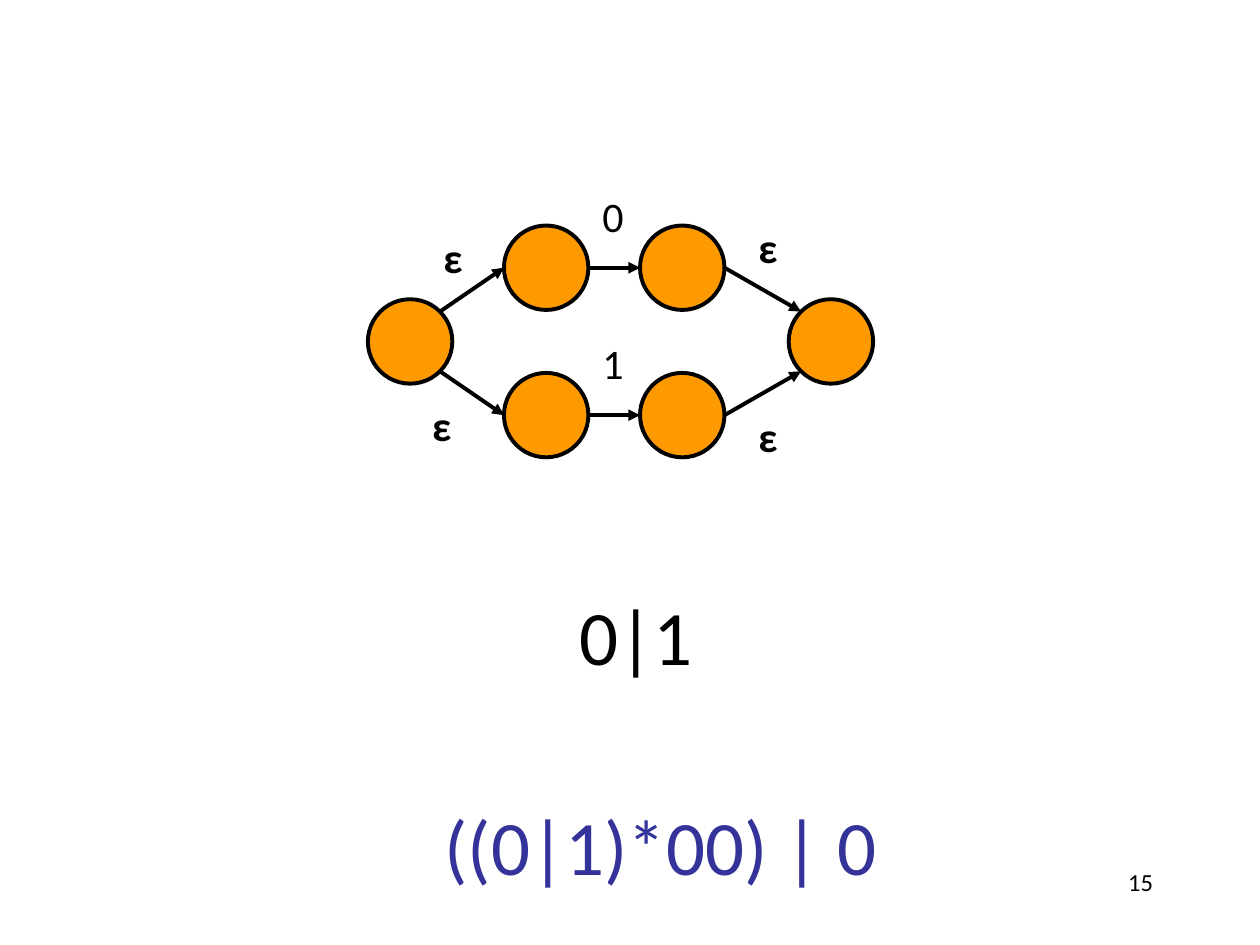
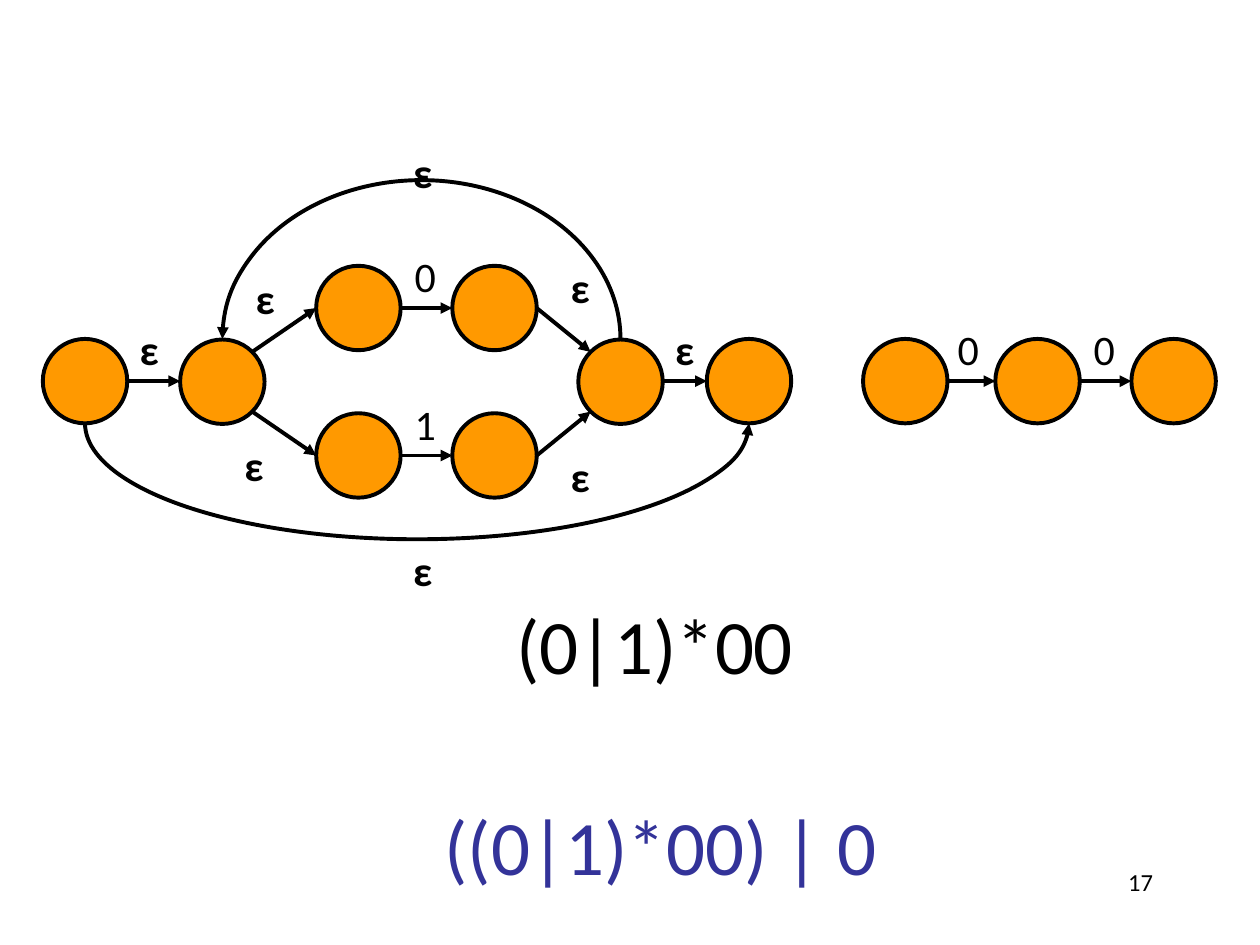
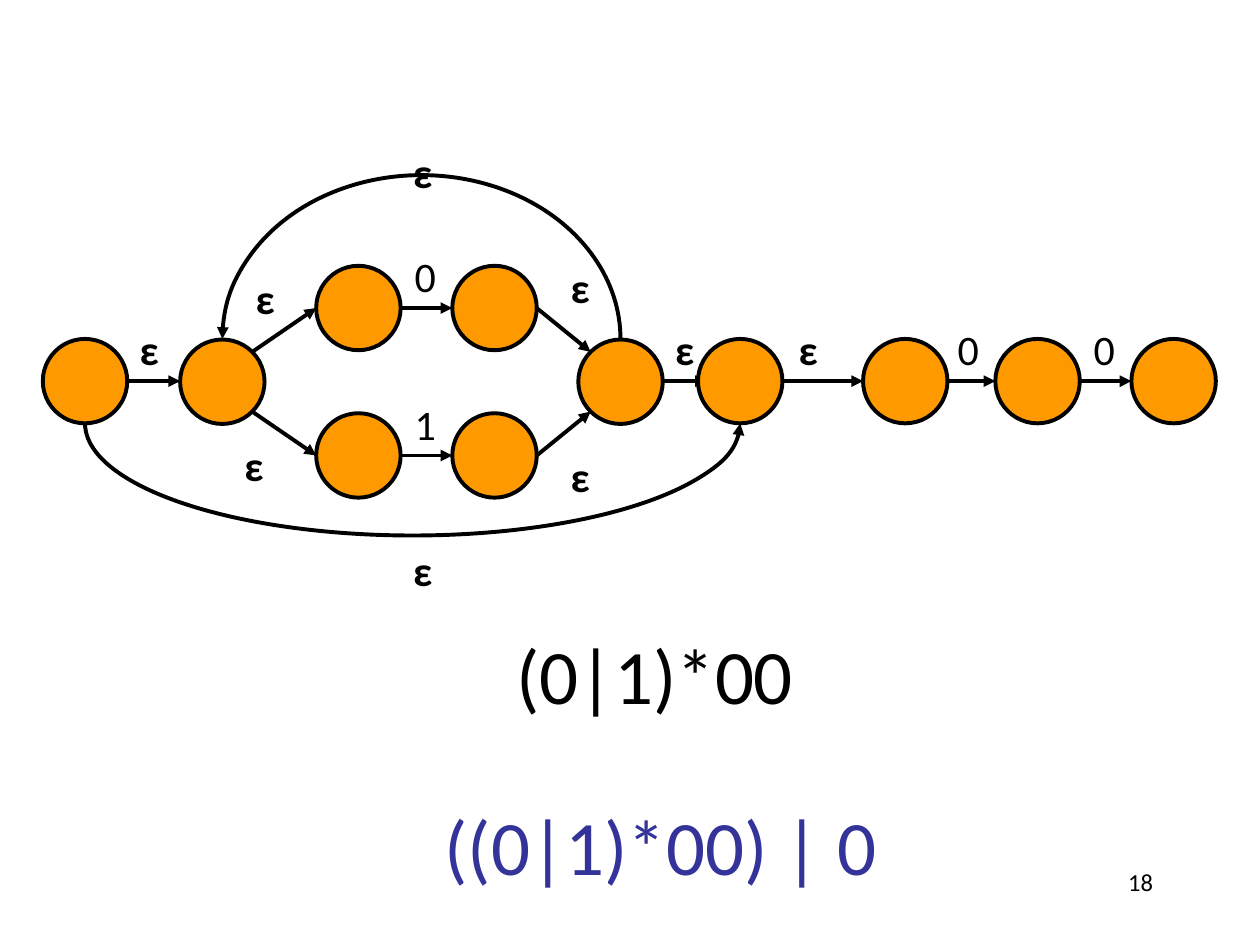
from dataclasses import dataclass
from math import sqrt

from pptx import Presentation
from pptx.dml.color import RGBColor
from pptx.enum.shapes import MSO_CONNECTOR, MSO_SHAPE
from pptx.enum.text import MSO_ANCHOR, MSO_AUTO_SIZE, PP_ALIGN
from pptx.oxml.ns import qn
from pptx.oxml.xmlchemy import OxmlElement
from pptx.util import Inches, Pt

STRAIGHT = MSO_CONNECTOR.STRAIGHT
CIRCLE = MSO_SHAPE.FLOWCHART_CONNECTOR
ARC = MSO_SHAPE.ARC
TOP = MSO_ANCHOR.TOP
FIXED_SIZE = MSO_AUTO_SIZE.NONE
LEFT, CENTER, RIGHT = PP_ALIGN.LEFT, PP_ALIGN.CENTER, PP_ALIGN.RIGHT

BLACK = RGBColor(0x00, 0x00, 0x00)
ORANGE = RGBColor(0xFF, 0x99, 0x00)
INDIGO = RGBColor(0x33, 0x33, 0x99)
FONT = "Calibri"
LINE_WIDTH = Pt(2.25)

TITLE_ONLY_LAYOUT = 5
DIAMETER = 0.67
RADIUS = DIAMETER / 2
DIAGONAL = RADIUS / sqrt(2)
STATE_STEP = 1.08
BRANCH_STEP = 1.17
ROW_TOP = 2.69
LABEL_TOP = 2.52
EPSILON = "ε"
GOAL = "((0|1)*00) | 0"
LOOP_EXPRESSION = "(0|1)*00"
UPPER_HALF = (108.0, 0)
LOWER_HALF = (0, 108.0)

FRAME_FORMAT = {
    "word_wrap": False,
    "auto_size": FIXED_SIZE,
    "vertical_anchor": TOP,
    "margin_left": Inches(0.1),
    "margin_right": Inches(0.1),
    "margin_top": Inches(0.05),
    "margin_bottom": Inches(0.05),
}
EXPRESSION_FORMAT = {"name": FONT, "size": Pt(44), "bold": False}
SYMBOL_FORMAT = {"name": FONT, "size": Pt(24), "bold": False}
EPSILON_FORMAT = {**SYMBOL_FORMAT, "bold": True}
NUMBER_FORMAT = {"name": FONT, "size": Pt(14), "bold": False}


@dataclass(frozen=True)
class Point:
    x: float
    y: float


@dataclass(frozen=True)
class State:
    left: float
    top: float

    def at(self, across: float, down: float) -> Point:
        return Point(self.left + RADIUS + across, self.top + RADIUS + down)


@dataclass(frozen=True)
class Arrow:
    start: Point
    end: Point


@dataclass(frozen=True)
class Label:
    text: str
    left: float
    top: float


@dataclass(frozen=True)
class Loop:
    left: Point
    right: Point
    depth: float
    half: tuple


@dataclass(frozen=True)
class Automaton:
    states: list
    arrows: list
    labels: list
    loops: list

    def joined(self, other: "Automaton") -> "Automaton":
        return Automaton(
            self.states + other.states,
            self.arrows + other.arrows,
            self.labels + other.labels,
            self.loops + other.loops,
        )


@dataclass(frozen=True)
class Page:
    number: int
    expression: str
    box: tuple
    automaton: Automaton


def step(source: State, target: State) -> Arrow:
    return Arrow(source.at(RADIUS, 0), target.at(-RADIUS, 0))


def choice(left: float, top: float, exit_offset: float, symbol_rise: float) -> Automaton:
    middle = top + BRANCH_STEP / 2
    entry = State(left - STATE_STEP, middle)
    leave = State(left + exit_offset, middle)
    automaton = Automaton([entry, leave], [], [], [])
    for row, symbol in enumerate("01"):
        branch_top = top + row * BRANCH_STEP
        first, second = State(left, branch_top), State(left + STATE_STEP, branch_top)
        side = DIAGONAL if row else -DIAGONAL
        arrows = [
            Arrow(entry.at(DIAGONAL, side), first.at(-RADIUS, 0)),
            step(first, second),
            Arrow(second.at(RADIUS, 0), leave.at(-DIAGONAL, side)),
        ]
        labels = [Label(symbol, left + 0.68, branch_top - symbol_rise)]
        automaton = automaton.joined(Automaton([first, second], arrows, labels, []))
    corners = [(-0.58, 0), (-0.67, 1.33), (1.92, -0.08), (1.92, 1.42)]
    labels = [Label(EPSILON, left + across, top + down) for across, down in corners]
    return automaton.joined(Automaton([], [], labels, []))


def repetition(final_left: float, upper_depth: float, lower_depth: float) -> Automaton:
    start, entry, leave, final = (
        State(left, ROW_TOP) for left in (0.34, 1.43, 4.59, final_left)
    )
    arrows = [step(start, entry), Arrow(leave.at(RADIUS, 0), Point(5.61, ROW_TOP + RADIUS))]
    labels = [
        Label(EPSILON, left, top)
        for left, top in [(1.01, LABEL_TOP), (5.26, LABEL_TOP), (3.18, 1.11), (3.18, 4.27)]
    ]
    loops = [
        Loop(entry.at(0, -RADIUS), leave.at(0, -RADIUS), upper_depth, UPPER_HALF),
        Loop(start.at(0, RADIUS), final.at(0, RADIUS), lower_depth, LOWER_HALF),
    ]
    inner = choice(2.51, 2.11, 2.08, 0.17)
    return inner.joined(Automaton([start, final], arrows, labels, loops))


def two_zeros() -> Automaton:
    states = [State(left, ROW_TOP) for left in (6.85, 7.9, 8.98)]
    arrows = [step(source, target) for source, target in zip(states, states[1:])]
    labels = [Label("0", left, LABEL_TOP) for left in (7.5, 8.58)]
    return Automaton(states, arrows, labels, [])


def concatenation(final_left: float) -> Automaton:
    arrow = step(State(final_left, ROW_TOP), State(6.85, ROW_TOP))
    return Automaton([], [arrow], [Label(EPSILON, 6.24, LABEL_TOP)], [])


def apply_format(target, values: dict) -> None:
    for name, value in values.items():
        setattr(target, name, value)


def write_text(shape, text: str, font_format: dict, color: RGBColor, alignment) -> None:
    frame = shape.text_frame
    apply_format(frame, FRAME_FORMAT)
    paragraph = frame.paragraphs[0]
    paragraph.alignment = alignment
    run = paragraph.add_run()
    run.text = text
    apply_format(run.font, font_format)
    run.font.color.rgb = color


def add_text(slide, box: tuple, text: str, font_format: dict, color: RGBColor, alignment) -> None:
    shape = slide.shapes.add_textbox(*map(Inches, box))
    write_text(shape, text, font_format, color, alignment)


def outline(shape) -> None:
    shape.line.color.rgb = BLACK
    shape.line.width = LINE_WIDTH


def add_arrowhead(shape, end: str) -> None:
    arrowhead = OxmlElement(end)
    arrowhead.set("type", "triangle")
    shape.line._get_or_add_ln().append(arrowhead)


def draw_arrow(slide, arrow: Arrow) -> None:
    ends = (arrow.start.x, arrow.start.y, arrow.end.x, arrow.end.y)
    connector = slide.shapes.add_connector(STRAIGHT, *map(Inches, ends))
    outline(connector)
    add_arrowhead(connector, "a:tailEnd")
    connector._element.find(qn("p:spPr")).append(OxmlElement("a:effectLst"))


def draw_loop(slide, loop: Loop) -> None:
    box = (loop.left.x, loop.left.y - loop.depth, loop.right.x - loop.left.x, 2 * loop.depth)
    shape = slide.shapes.add_shape(ARC, *map(Inches, box))
    for index, angle in enumerate(loop.half):
        shape.adjustments[index] = angle
    shape.shadow.inherit = False
    shape.fill.background()
    outline(shape)
    add_arrowhead(shape, "a:headEnd")


def draw_state(slide, state: State) -> None:
    box = (state.left, state.top, DIAMETER, DIAMETER)
    shape = slide.shapes.add_shape(CIRCLE, *map(Inches, box))
    shape.shadow.inherit = False
    shape.fill.solid()
    shape.fill.fore_color.rgb = ORANGE
    outline(shape)


def draw_label(slide, label: Label) -> None:
    is_epsilon = label.text == EPSILON
    font_format = EPSILON_FORMAT if is_epsilon else SYMBOL_FORMAT
    width = 0.35 if is_epsilon else 0.37
    add_text(slide, (label.left, label.top, width, 0.5), label.text, font_format, BLACK, CENTER)


def draw_automaton(slide, automaton: Automaton) -> None:
    for items, draw in [
        (automaton.loops, draw_loop),
        (automaton.arrows, draw_arrow),
        (automaton.states, draw_state),
        (automaton.labels, draw_label),
    ]:
        for item in items:
            draw(slide, item)


def add_page(presentation, page: Page) -> None:
    slide = presentation.slides.add_slide(presentation.slide_layouts[TITLE_ONLY_LAYOUT])
    title = slide.shapes.title
    apply_format(title, dict(zip(("left", "top", "width", "height"), map(Inches, page.box))))
    write_text(title, page.expression, EXPRESSION_FORMAT, BLACK, LEFT)
    draw_automaton(slide, page.automaton)
    add_text(slide, (3.43, 6.29, 3.67, 0.84), GOAL, EXPRESSION_FORMAT, INDIGO, LEFT)
    add_text(slide, (7.17, 6.83, 2.08, 0.5), str(page.number), NUMBER_FORMAT, BLACK, RIGHT)


def main() -> None:
    presentation = Presentation()
    presentation.slide_width = Inches(10)
    presentation.slide_height = Inches(7.5)
    separate = repetition(5.61, 1.26, 0.92).joined(two_zeros())
    linked = repetition(5.54, 1.3, 0.89).joined(two_zeros()).joined(concatenation(5.54))
    pages = [
        Page(15, "0|1", (4.5, 4.62, 1.11, 0.84), choice(4, 1.79, 2.26, 0.33)),
        Page(17, LOOP_EXPRESSION, (4, 4.69, 2.42, 0.84), separate),
        Page(18, LOOP_EXPRESSION, (4, 4.93, 2.42, 0.84), linked),
    ]
    for page in pages:
        add_page(presentation, page)
    presentation.save("out.pptx")


if __name__ == "__main__":
    main()
